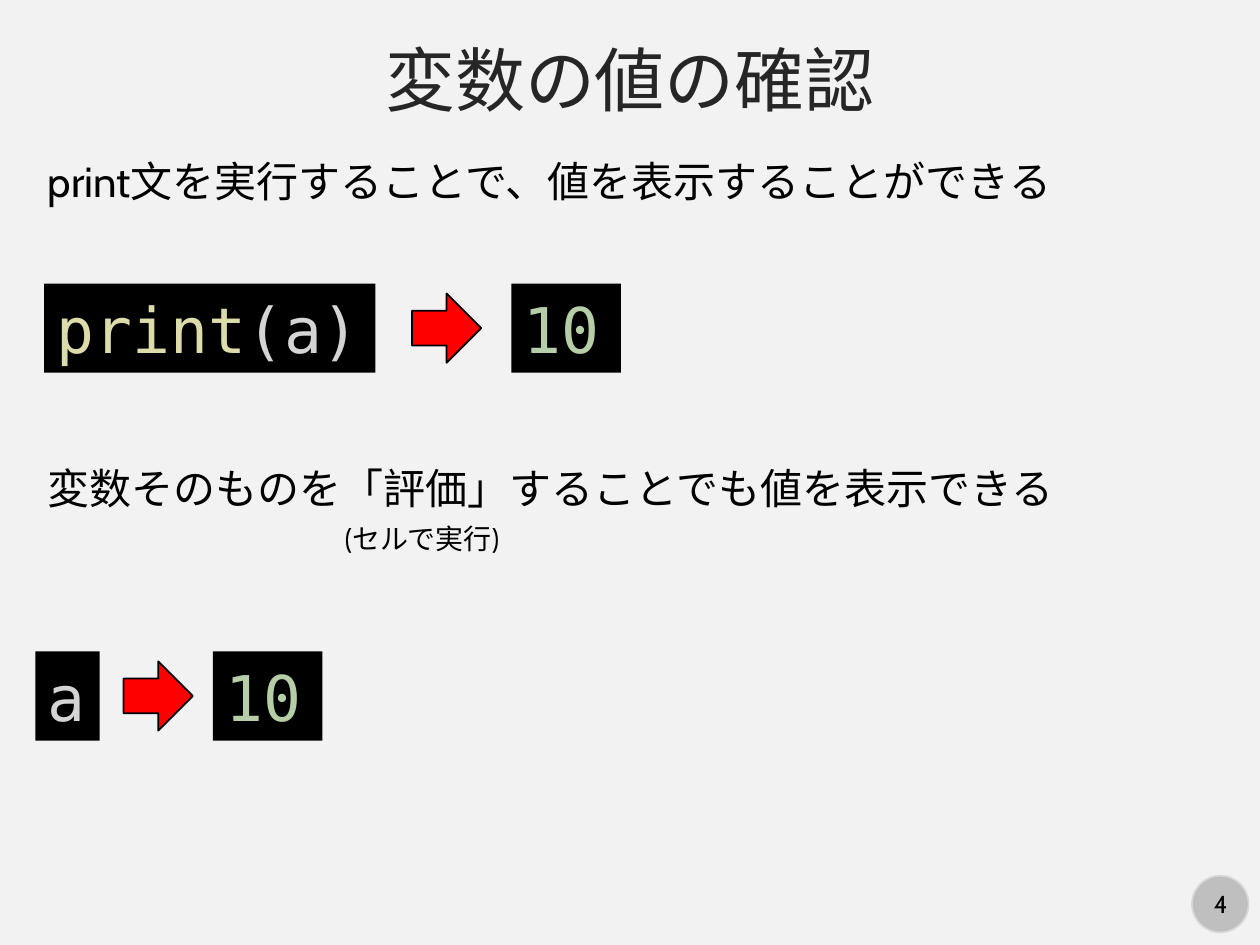
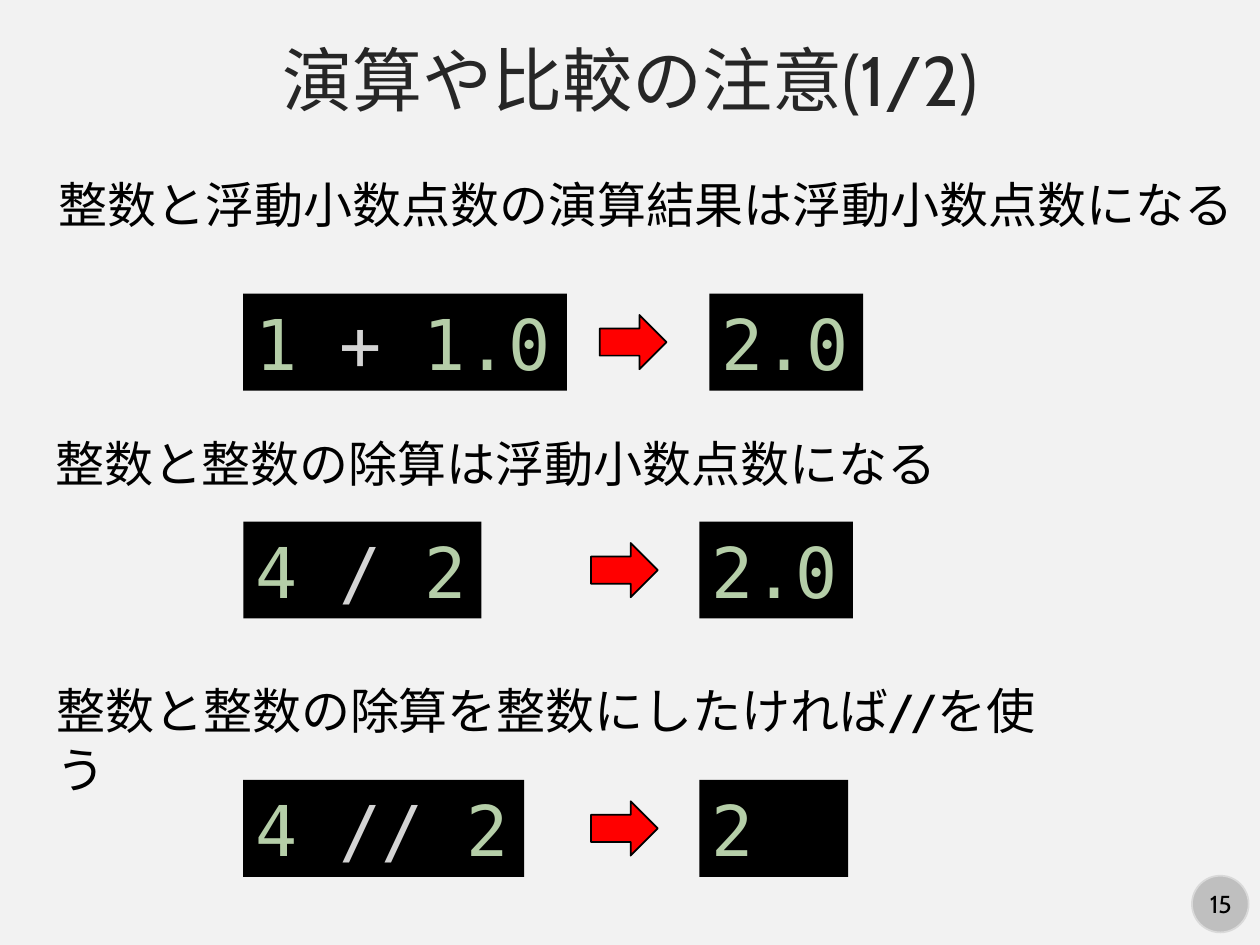
"""Build two slides on showing variable values and on number arithmetic."""
from pptx import Presentation
from pptx.dml.color import RGBColor
from pptx.enum.shapes import MSO_SHAPE
from pptx.enum.text import MSO_ANCHOR, PP_ALIGN
from pptx.util import Pt

PAPER = RGBColor(0xF2, 0xF2, 0xF2)
BADGE = RGBColor(0xBF, 0xBF, 0xBF)
BADGE_EDGE = RGBColor(0xD9, 0xD9, 0xD9)
INK = RGBColor(0x26, 0x26, 0x26)
BLACK = RGBColor(0, 0, 0)
RED = RGBColor(0xFF, 0, 0)
FUNCTION = RGBColor(0xDC, 0xDC, 0xAA)
PLAIN = RGBColor(0xD4, 0xD4, 0xD4)
NUMBER = RGBColor(0xB5, 0xCE, 0xA8)
BODY_FONT = "Cabin"
CODE_FONT = "DejaVu Sans Mono"


def add_text(slide, box, runs, size, font=BODY_FONT, align=PP_ALIGN.LEFT,
             anchor=MSO_ANCHOR.MIDDLE, fill=None, wrap=True, inset=3.6, before=0):
    sp = slide.shapes.add_textbox(*map(Pt, box))
    if fill is not None:
        sp.fill.solid()
        sp.fill.fore_color.rgb = fill
    tf = sp.text_frame
    tf.word_wrap = wrap
    tf.vertical_anchor = anchor
    tf.margin_top = Pt(inset)
    p = tf.paragraphs[0]
    p.alignment = align
    p.space_before = Pt(before)
    for text, color in runs:
        r = p.add_run()
        r.text = text
        r.font.size = Pt(size)
        r.font.name = font
        r.font.color.rgb = color


def add_preset(slide, kind, box, fill, line):
    sp = slide.shapes.add_shape(kind, *map(Pt, box))
    sp.shadow.inherit = False
    sp.fill.solid()
    sp.fill.fore_color.rgb = fill
    sp.line.color.rgb = line
    sp.line.width = Pt(1)


SLIDES = [
    {
        "title": "変数の値の確認",
        "page": "4",
        "labels": [
            ((20.2, 88.6, 612, 36), "print文を実行することで、値を表示することができる", 24),
            ((20.2, 264.2, 612, 36), "変数そのものを「評価」することでも値を表示できる", 24),
            ((190, 298, 106, 26.6), "(セルで実行)", 16),
        ],
        "code_size": 36,
        "code_height": 51,
        "arrow_size": (39.6, 39.6),
        "rows": [
            (162, 25.2, 189.4, [("print", FUNCTION), ("(a)", PLAIN)], 235.4, 292.3, 62.6, "10"),
            (372.2, 20.2, 36.7, [("a", PLAIN)], 70.6, 121.7, 62.6, "10"),
        ],
    },
    {
        "title": "演算や比較の注意(1/2)",
        "page": "15",
        "labels": [
            ((26.6, 100, 693.4, 41), "整数と浮動小数点数の演算結果は浮動小数点数になる", 28),
            ((24.5, 247.7, 523.4, 41), "整数と整数の除算は浮動小数点数になる", 28),
            ((25.2, 388.8, 596.2, 41), "整数と整数の除算を整数にしたければ//を使う", 28),
        ],
        "code_size": 40,
        "code_height": 55.4,
        "arrow_size": (38.2, 31),
        "rows": [
            (167.8, 139, 185, [("1 ", NUMBER), ("+ ", PLAIN), ("1.0", NUMBER)], 342.7, 405.4, 87.8, "2.0"),
            (298.1, 139, 136.1, [("4 ", NUMBER), ("/ ", PLAIN), ("2", NUMBER)], 337.7, 399.6, 87.8, "2.0"),
            (445.7, 139, 160.6, [("4 ", NUMBER), ("// ", PLAIN), ("2", NUMBER)], 337.7, 399.6, 85, "2"),
        ],
    },
]

prs = Presentation()
prs.slide_width, prs.slide_height = Pt(720), Pt(540)
background = prs.slide_master.background.fill
background.solid()
background.fore_color.rgb = PAPER

for content in SLIDES:
    s = prs.slides.add_slide(prs.slide_layouts[6])
    add_preset(s, MSO_SHAPE.OVAL, (681.1, 500.4, 32.4, 32.4), BADGE, BADGE_EDGE)
    add_text(s, (681.8, 504, 31.7, 24.5), [(content["page"], BLACK)], 14,
             align=PP_ALIGN.CENTER, wrap=False)
    add_text(s, (0, 15.1, 720, 59), [(content["title"], INK)], 40,
             align=PP_ALIGN.CENTER, before=10)
    for box, text, size in content["labels"]:
        add_text(s, box, [(text, BLACK)], size, anchor=MSO_ANCHOR.TOP, inset=0)

    height = content["code_height"]
    arrow_w, arrow_h = content["arrow_size"]
    for top, code_x, code_w, code, arrow_x, result_x, result_w, result in content["rows"]:
        for x, w, runs, wrap in ((code_x, code_w, code, False),
                                 (result_x, result_w, [(result, NUMBER)], True)):
            add_text(s, (x, top, w, height), runs, content["code_size"],
                     font=CODE_FONT, fill=BLACK, wrap=wrap)
        arrow_y = top + (height - arrow_h) / 2
        add_preset(s, MSO_SHAPE.RIGHT_ARROW, (arrow_x, arrow_y, arrow_w, arrow_h), RED, BLACK)

prs.save("out.pptx")
